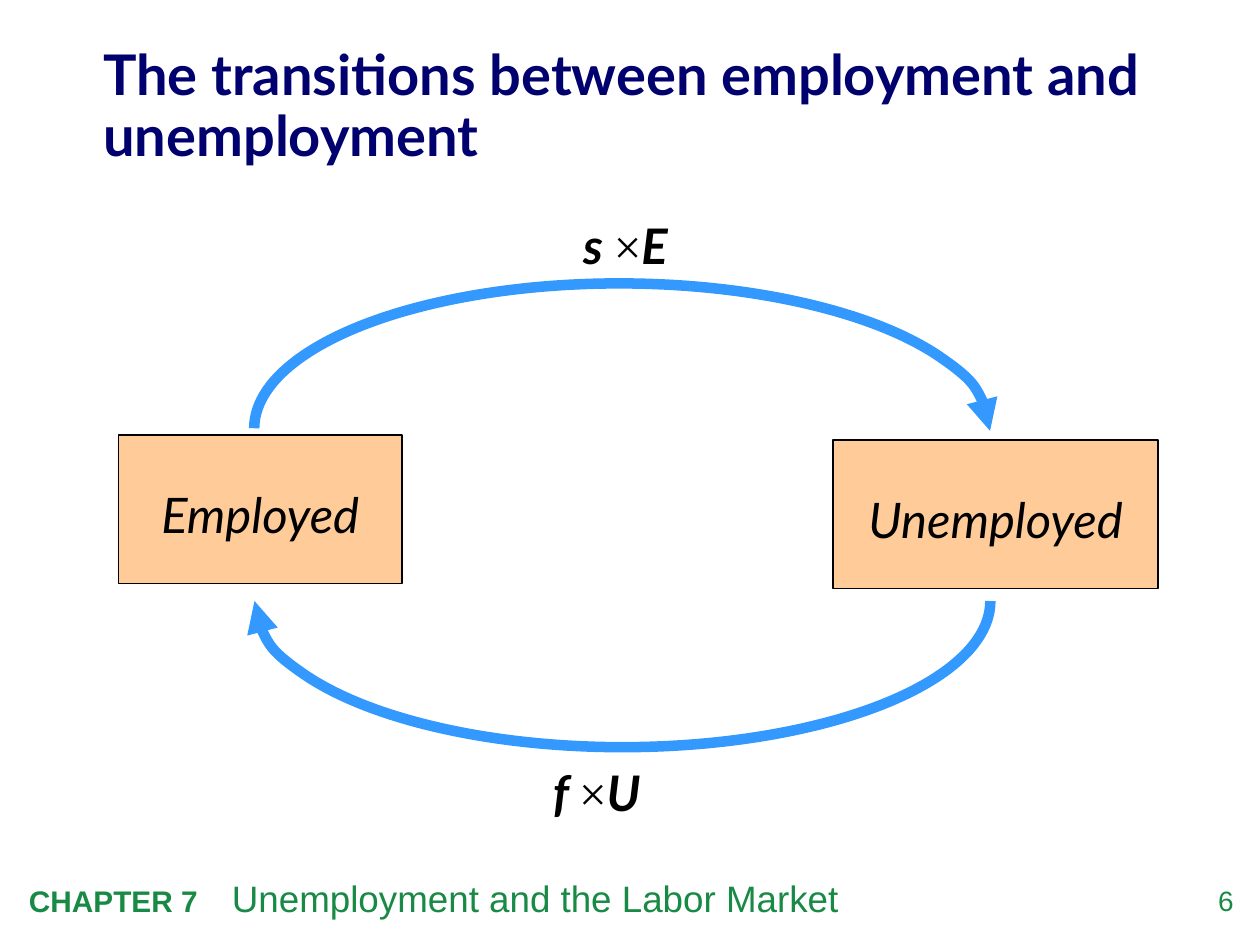
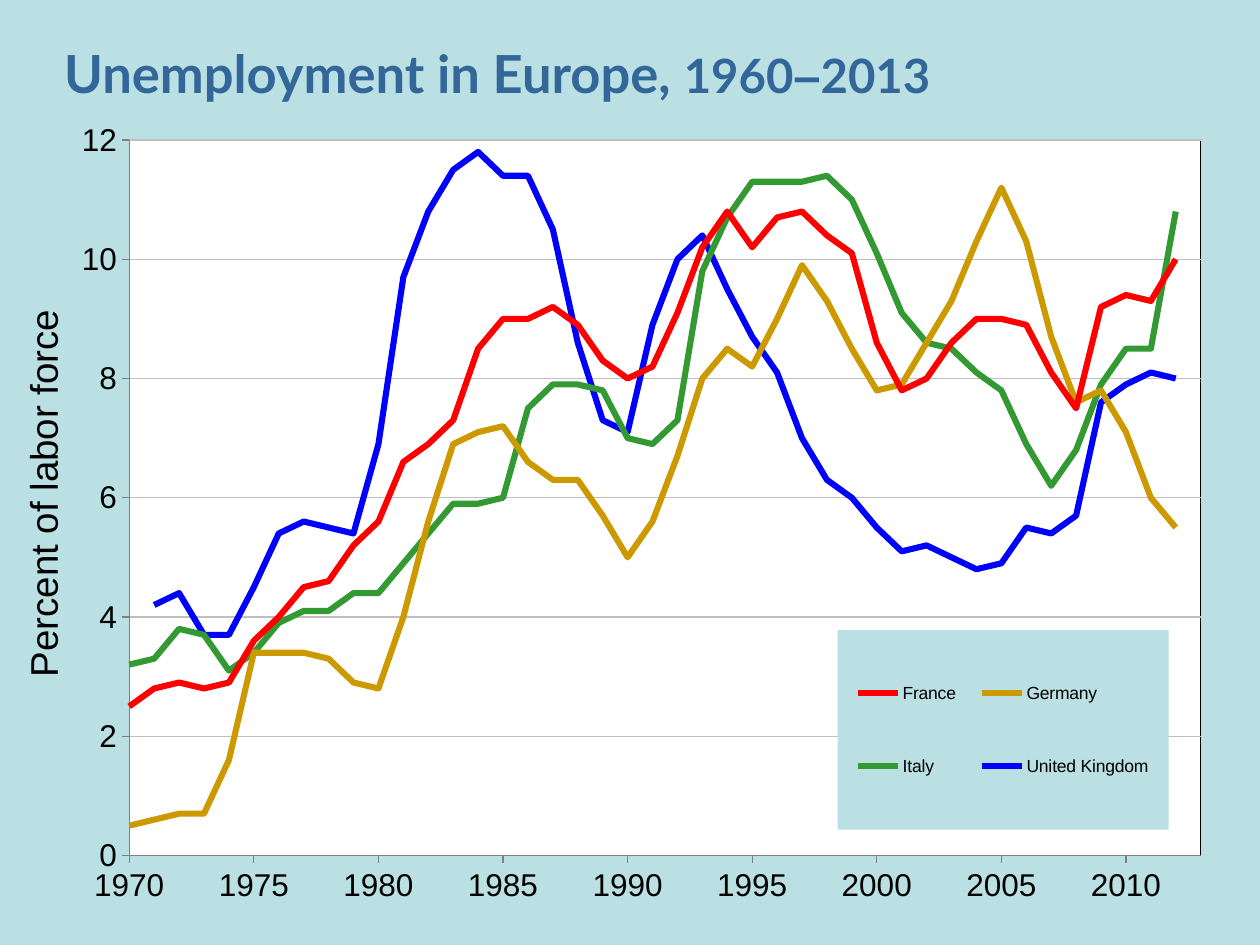
from lxml import etree
from pptx import Presentation
from pptx.chart.data import XyChartData
from pptx.dml.color import RGBColor
from pptx.enum import chart as ch, shapes, text
from pptx.oxml import parse_xml
from pptx.oxml.ns import nsdecls, qn
from pptx.util import Pt

NAVY, STEEL, GREEN, BLACK = "00006E", "336699", "198A46", "000000"
PEACH, SKY, PALE, WHITE = "FFCC99", "3399FF", "BBE0E3", "FFFFFF"
GRID, AXIS = "BFBFBF", "808080"

YEARS = range(1970, 2013)
SERIES = {
    "France": ("FF0000", [
        2.5, 2.8, 2.9, 2.8, 2.9, 3.6, 4, 4.5, 4.6, 5.2, 5.6, 6.6, 6.9, 7.3, 8.5,
        9, 9, 9.2, 8.9, 8.3, 8, 8.2, 9.1, 10.2, 10.8, 10.2, 10.7, 10.8, 10.4,
        10.1, 8.6, 7.8, 8, 8.6, 9, 9, 8.9, 8.1, 7.5, 9.2, 9.4, 9.3, 10]),
    "Germany": ("CC9900", [
        0.5, 0.6, 0.7, 0.7, 1.6, 3.4, 3.4, 3.4, 3.3, 2.9, 2.8, 4, 5.6, 6.9, 7.1,
        7.2, 6.6, 6.3, 6.3, 5.7, 5, 5.6, 6.7, 8, 8.5, 8.2, 9, 9.9, 9.3,
        8.5, 7.8, 7.9, 8.6, 9.3, 10.3, 11.2, 10.3, 8.7, 7.6, 7.8, 7.1, 6, 5.5]),
    "Italy": ("339933", [
        3.2, 3.3, 3.8, 3.7, 3.1, 3.4, 3.9, 4.1, 4.1, 4.4, 4.4, 4.9, 5.4, 5.9, 5.9,
        6, 7.5, 7.9, 7.9, 7.8, 7, 6.9, 7.3, 9.8, 10.7, 11.3, 11.3, 11.3, 11.4,
        11, 10.1, 9.1, 8.6, 8.5, 8.1, 7.8, 6.9, 6.2, 6.8, 7.9, 8.5, 8.5, 10.8]),
    "United Kingdom": ("0000FF", [
        None, 4.2, 4.4, 3.7, 3.7, 4.5, 5.4, 5.6, 5.5, 5.4, 6.9, 9.7, 10.8, 11.5,
        11.8, 11.4, 11.4, 10.5, 8.6, 7.3, 7.1, 8.9, 10, 10.4, 9.5, 8.7, 8.1, 7, 6.3,
        6, 5.5, 5.1, 5.2, 5, 4.8, 4.9, 5.5, 5.4, 5.7, 7.6, 7.9, 8.1, 8]),
}


def paint(fmt, color):
    """Give a fill a solid colour."""
    fmt.solid()
    fmt.fore_color.rgb = RGBColor.from_string(color)


def stroke(line, color, width):
    """Give a line its colour and width."""
    paint(line.fill, color)
    line.width = Pt(width)


def write(sp, runs, color, align=text.PP_ALIGN.LEFT, spacing=1.0, inset=(7.2, 3.6),
          anchor=text.MSO_ANCHOR.TOP):
    """Fill a shape with one paragraph of (text, size, font, bold, italic) runs."""
    tf = sp.text_frame
    tf.word_wrap = True
    tf.vertical_anchor = anchor
    tf.margin_left = tf.margin_right = Pt(inset[0])
    tf.margin_top = tf.margin_bottom = Pt(inset[1])
    p = tf.paragraphs[0]
    p.alignment, p.line_spacing = align, spacing
    for words, size, font, bold, italic in runs:
        r = p.add_run()
        r.text = words
        r.font.size, r.font.name = Pt(size), font
        r.font.bold, r.font.italic = bold, italic
        r.font.color.rgb = RGBColor.from_string(color)
    return p


def text_box(parent, box, runs, color, **style):
    """Add a text box to a slide's or group's shapes; return its shape and paragraph."""
    sp = parent.add_textbox(*map(Pt, box))
    return sp, write(sp, runs, color, **style)


def add_title(slide, box, runs, color, spacing):
    """Place a bold slide title given as (text, size, font) runs."""
    text_box(slide.shapes, box, [(*r, True, False) for r in runs], color,
             spacing=spacing, inset=(0, 0), anchor=text.MSO_ANCHOR.MIDDLE)


def add_footer(slide, box, number):
    """Place the chapter line and the slide number along the bottom."""
    x, y, w, h = box
    _, p = text_box(slide.shapes, (x, y, 589, h),
                    [("CHAPTER 7\t", 17, "Arial", True, False),
                     ("Unemployment and the Labor Market", 21, "Arial", False, False)], GREEN)
    tabs = etree.SubElement(p._p.get_or_add_pPr(), qn("a:tabLst"))
    etree.SubElement(tabs, qn("a:tab"), pos=str(Pt(116)), algn="l")
    text_box(slide.shapes, (x + w - 40, y + 8, 40, 23),
             [(number, 16, "Arial", False, False)], GREEN,
             align=text.PP_ALIGN.RIGHT, inset=(0, 0))


def add_state(slide, box, name):
    """Place the box of one labour market state."""
    sp = slide.shapes.add_shape(shapes.MSO_SHAPE.RECTANGLE, *map(Pt, box))
    sp.shadow.inherit = False
    paint(sp.fill, PEACH)
    stroke(sp.line, BLACK, 1)
    write(sp, [(name, 28, "Lato", False, True)], BLACK,
          align=text.PP_ALIGN.CENTER, spacing=1.2, inset=(7.2, 21.6))


def add_flow(slide, box, rotation, label_at, rate, stock):
    """Place a curved arrow, a bracket turned to span the box, with its label."""
    x, y, w, h = box
    group = slide.shapes.add_group_shape().shapes
    text_box(group, (*label_at, 78, 41),
             [(rate + " ", 28, "Lato", True, True),
              ("×", 28, "Times New Roman", False, False),
              (stock, 28, "Lato", True, True)], BLACK)
    sp = group.add_shape(shapes.MSO_SHAPE.LEFT_BRACKET, Pt(x + (w - h) / 2),
                         Pt(y + (h - w) / 2), Pt(h), Pt(w))
    sp.adjustments[0] = w / h / 2
    sp.rotation = rotation
    sp._element.spPr.find(qn("a:xfrm")).set("flipV", "1")
    sp.shadow.inherit = False
    sp.fill.background()
    stroke(sp.line, SKY, 6)
    etree.SubElement(sp.line._get_or_add_ln(), qn("a:headEnd"), type="triangle")


def layout_xml(box, inner=False):
    """Return a manual chart layout for fractions (x, y, w, h)."""
    target = '<c:layoutTarget val="inner"/>' if inner else ""
    modes = "".join(f'<c:{k}Mode val="edge"/>' for k in "xy")
    sizes = "".join(f'<c:{k} val="{v}"/>' for k, v in zip("xywh", box))
    return parse_xml(f'<c:layout {nsdecls("c")}><c:manualLayout>{target}{modes}{sizes}'
                     '</c:manualLayout></c:layout>')


def area_xml(fill, line=None):
    """Return the fill and optional outline of a chart area."""
    solid = '<a:solidFill><a:srgbClr val="{}"/></a:solidFill>'.format
    ln = f'<a:ln w="9525">{solid(line)}</a:ln>' if line else ""
    return parse_xml(f'<c:spPr {nsdecls("c", "a")}>{solid(fill)}{ln}</c:spPr>')


def drop_layout(element):
    """Remove an automatic layout from a chart part."""
    for old in element.findall(qn("c:layout")):
        element.remove(old)


def style_axis(axis, low, high, step):
    """Set the scale and look of one chart axis."""
    axis.minimum_scale, axis.maximum_scale, axis.major_unit = low, high, step
    axis.major_tick_mark = ch.XL_TICK_MARK.OUTSIDE
    axis.minor_tick_mark = ch.XL_TICK_MARK.NONE
    axis.has_title = False
    axis.tick_labels.font.size = Pt(18)
    axis.tick_labels.number_format = "0"
    axis.tick_labels.number_format_is_linked = False
    stroke(axis.format.line, AXIS, 0.75)


def add_rate_chart(slide, box):
    """Place the unemployment chart and its legend."""
    data = XyChartData()
    for name, (_, rates) in SERIES.items():
        s = data.add_series(name)
        for year, rate in zip(YEARS, rates):
            if rate is not None:
                s.add_data_point(year, rate)
    chart = slide.shapes.add_chart(ch.XL_CHART_TYPE.XY_SCATTER_LINES_NO_MARKERS,
                                   *map(Pt, box), data).chart
    chart.has_title = False
    chart.font.name, chart.font.size = "Arial", Pt(10)
    chart.font.color.rgb = RGBColor.from_string(BLACK)
    chart.plots[0].vary_by_categories = False
    for s, (color, _) in zip(chart.plots[0].series, SERIES.values()):
        s.smooth = False
        s.marker.style = ch.XL_MARKER_STYLE.NONE
        stroke(s.format.line, color, 3.5)

    style_axis(chart.category_axis, 1970, 2013, 5)
    style_axis(chart.value_axis, 0, 12, 2)
    chart.category_axis.has_major_gridlines = False
    chart.value_axis.has_major_gridlines = True
    stroke(chart.value_axis.major_gridlines.format.line, GRID, 0.75)

    area = chart._chartSpace.chart.plotArea
    drop_layout(area)
    area.insert(0, layout_xml((0.064, 0.033, 0.897, 0.886), inner=True))
    area.append(area_xml(WHITE, BLACK))

    chart.has_legend = True
    chart.legend.position = ch.XL_LEGEND_POSITION.RIGHT
    chart.legend.include_in_layout = True
    legend = chart.legend._element
    drop_layout(legend)
    overlay = legend.find(qn("c:overlay"))
    if overlay is None:
        overlay = etree.SubElement(legend, qn("c:overlay"))
    overlay.set("val", "1")
    overlay.addprevious(layout_xml((0.657, 0.64, 0.277, 0.247)))
    overlay.addnext(area_xml(PALE))
    chart.legend.font.size = Pt(10)


def add_axis_caption(slide, box, words):
    """Place an upright caption that reads upwards inside the box."""
    x, y, w, h = box
    sp, _ = text_box(slide.shapes, (x + (w - h) / 2, y + (h - w) / 2, h, w),
                     [(words, 22, "Arial", False, False)], BLACK,
                     align=text.PP_ALIGN.CENTER)
    sp.rotation = 270


def new_slide(prs, color):
    """Add a blank slide with a plain background."""
    slide = prs.slides.add_slide(prs.slide_layouts[6])
    paint(slide.background.fill, color)
    return slide


def transitions_slide(prs):
    """Build the diagram of flows between the two states."""
    slide = new_slide(prs, WHITE)
    add_footer(slide, (9.4, 496.8, 695.5, 32.4), "6")
    add_title(slide, (59, 18.7, 606, 85.7),
              [("The transitions between employment and unemployment", 32, "Lato")], NAVY, 0.9)
    add_state(slide, (67.7, 248.4, 162, 85), "Employed")
    add_state(slide, (475.9, 251.3, 186, 85), "Unemployed")
    add_flow(slide, (145.4, 162, 420.5, 83.5), 90.2, (326.2, 119.5), "s", "E")
    add_flow(slide, (145.4, 343.5, 420.5, 83.5), 270, (308.9, 432), "f", "U")


def europe_slide(prs):
    """Build the chart of unemployment rates in four countries."""
    slide = new_slide(prs, PALE)
    add_rate_chart(slide, (30.2, 64.8, 682.6, 461.5))
    add_title(slide, (36.7, 13.7, 649.4, 54),
              [("Unemployment in Europe, ", 30, "Lato"), ("1960", 27, "Lato"),
               ("–", 28, "Arial"), ("2013", 27, "Lato")], STEEL, 1.05)
    add_axis_caption(slide, (7.5, 153, 34, 258), "Percent of labor force")


prs = Presentation()
prs.slide_width, prs.slide_height = Pt(720), Pt(540)
transitions_slide(prs)
europe_slide(prs)
prs.save("out.pptx")
